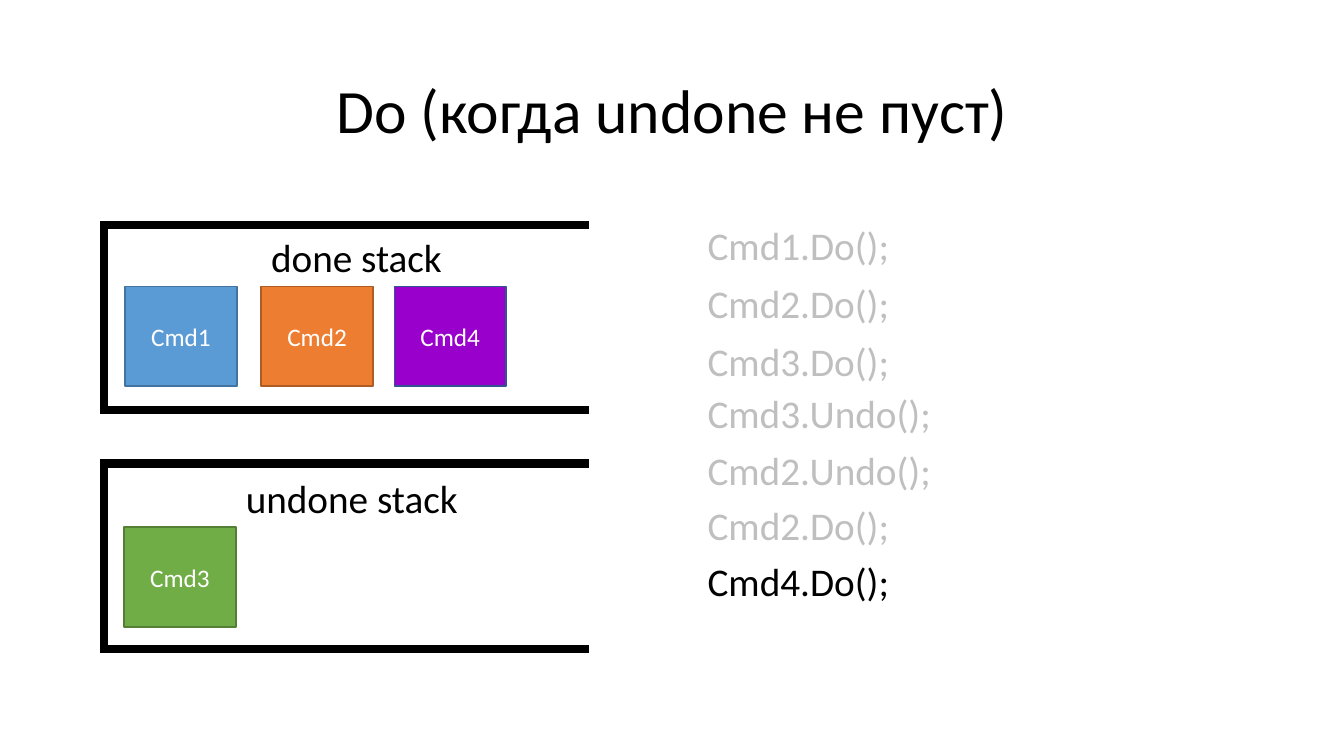
from pptx import Presentation
from pptx.dml.color import RGBColor
from pptx.enum.shapes import MSO_SHAPE
from pptx.enum.text import MSO_ANCHOR as ANCHOR, MSO_AUTO_SIZE as AUTO, PP_ALIGN as ALIGN
from pptx.oxml.ns import qn
from pptx.util import Inches, Pt
from lxml.etree import SubElement

COLORS = {
    "black": "000000", "white": "FFFFFF", "past": "BFBFBF",
    "blue": "5B9BD5", "blue_edge": "43739E",
    "orange": "ED7D31", "orange_edge": "AF5C24",
    "green": "70AD47", "green_edge": "538035",
    "purple": "9900CC", "purple_edge": "325491",
}


class SlideBuilder:
    font = "Calibri"

    def __init__(self, slide):
        self.shapes = slide.shapes

    def color(self, name):
        return RGBColor.from_string(COLORS[name])

    def outline(self, sp, color, width):
        sp.shadow.inherit = False
        sp.line.color.rgb = self.color(color)
        sp.line.width = Pt(width)

    def put_text(self, sp, text, size, color, frame=None, para=None):
        tf = sp.text_frame
        p = tf.paragraphs[0]
        r = p.add_run()
        r.text = text
        r.font.color.rgb = self.color(color)
        formats = (
            (tf, frame or {}),
            (p, para or {}),
            (r.font, {"name": self.font, "size": Pt(size)}),
        )
        for target, values in formats:
            for key, value in values.items():
                setattr(target, key, value)

    def title(self, text, x, y, w, h):
        sp = self.shapes.add_textbox(Inches(x), Inches(y), Inches(w), Inches(h))
        self.put_text(sp, text, 44, "black",
                      {"word_wrap": True, "vertical_anchor": ANCHOR.MIDDLE},
                      {"alignment": ALIGN.CENTER, "line_spacing": 0.9})

    def label(self, text, x, y, w, color="black"):
        sp = self.shapes.add_textbox(Inches(x), Inches(y), Inches(w), Inches(0.57))
        self.put_text(sp, text, 28, color,
                      {"word_wrap": False, "auto_size": AUTO.SHAPE_TO_FIT_TEXT})

    def command(self, text, x, y, fill):
        sp = self.shapes.add_shape(MSO_SHAPE.RECTANGLE, Inches(x), Inches(y),
                                   Inches(1.11), Inches(0.99))
        sp.fill.solid()
        sp.fill.fore_color.rgb = self.color(fill)
        self.outline(sp, fill + "_edge", 1)
        self.put_text(sp, text, 18, "white", {"vertical_anchor": ANCHOR.MIDDLE},
                      {"alignment": ALIGN.CENTER})

    def bracket(self, x, y, w, h):
        left, top, right, bottom = (Inches(v) for v in (x, y, x + w, y + h))
        fb = self.shapes.build_freeform(right, bottom)
        fb.add_line_segments([(left, bottom), (left, top), (right, top)], close=False)
        sp = fb.convert_to_shape()
        sp.fill.background()
        self.outline(sp, "black", 6)
        # Square corners
        SubElement(sp.element.spPr.find(qn("a:ln")), qn("a:miter"), lim="800000")


prs = Presentation()
prs.slide_width, prs.slide_height = Inches(13.33), Inches(7.5)
s = SlideBuilder(prs.slides.add_slide(prs.slide_layouts[6]))

s.title("Do (когда undone не пуст)", 0.92, 0.4, 11.5, 1.45)

# Stacks, open on the right
for top in (2.23, 4.6):
    s.bracket(1.03, top, 4.81, 1.84)
s.label("done stack", 2.59, 2.27, 1.95)
s.label("undone stack", 2.34, 4.66, 2.33)

# Commands held in the stacks
for name, x, y, fill in (
    ("Cmd1", 1.24, 2.84, "blue"),
    ("Cmd2", 2.59, 2.84, "orange"),
    ("Cmd4", 3.91, 2.84, "purple"),
    ("Cmd3", 1.23, 5.23, "green"),
):
    s.command(name, x, y, fill)

# Call history, the current call in black
CALLS = (
    ("Cmd1.Do();", 2.15, 2.02), ("Cmd2.Do();", 2.72, 2.02),
    ("Cmd3.Do();", 3.3, 2.02), ("Cmd3.Undo();", 3.81, 2.44),
    ("Cmd2.Undo();", 4.38, 2.44), ("Cmd2.Do();", 4.92, 2.08),
    ("Cmd4.Do();", 5.48, 2.02),
)
for call, y, w in CALLS:
    s.label(call, 6.92, y, w, "black" if call == CALLS[-1][0] else "past")

prs.save("out.pptx")
